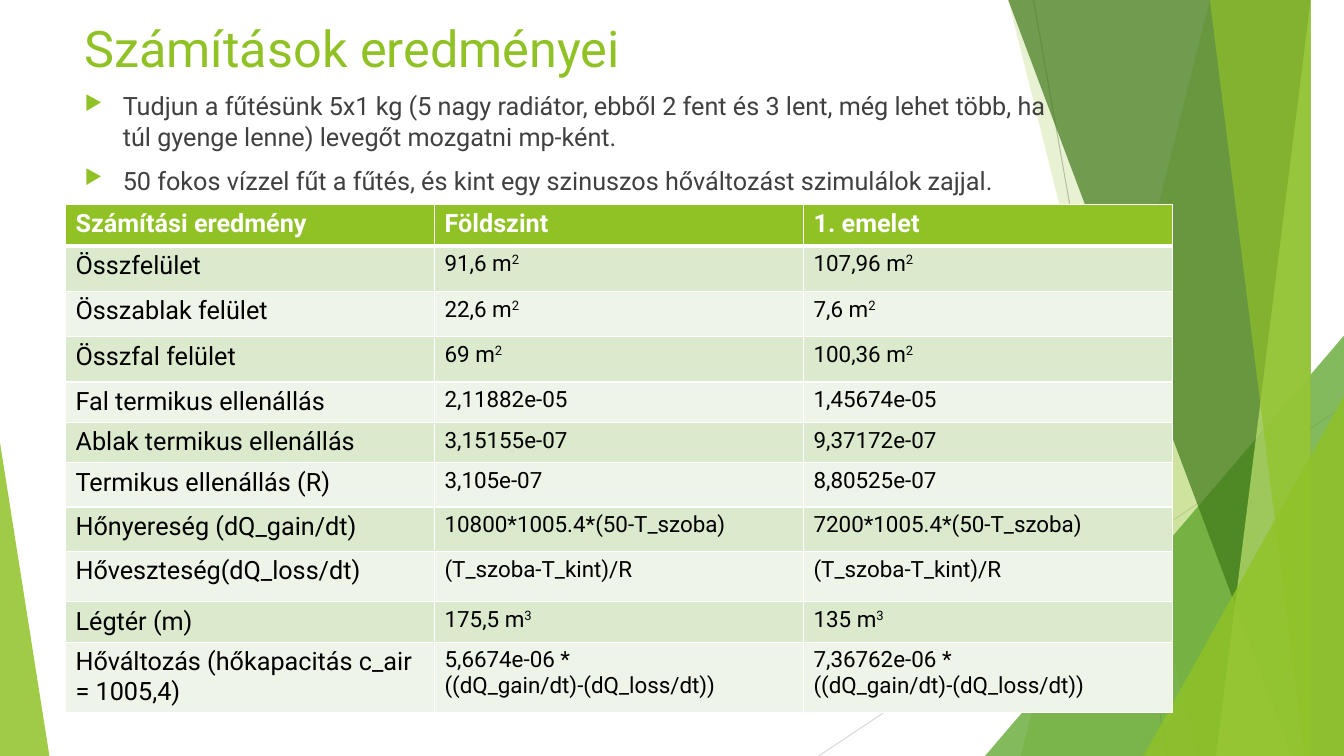
import lxml.etree
import pptx
import pptx.dml.color
import pptx.enum.shapes
import pptx.enum.text
import pptx.oxml
import pptx.oxml.ns
import pptx.util

Inches = pptx.util.Inches
Pt = pptx.util.Pt
qn = pptx.oxml.ns.qn
GREEN = "90C226"


def color(value):
    return pptx.dml.color.RGBColor.from_string(value)


def add_element(parent, tag, **attributes):
    element = lxml.etree.SubElement(parent, qn(tag))
    for name, value in attributes.items():
        element.set(name, str(value))
    return element


presentation = pptx.Presentation()
presentation.slide_width = Inches(13.33)
presentation.slide_height = Inches(7.5)
slide = presentation.slides.add_slide(presentation.slide_layouts[6])
shapes = slide.shapes

# Thin background lines
for x1, y1, x2, y2, line_color in [
    (10.25, 0, 11.58, 7.5, "BFBFBF"),
    (13.33, 4.03, 8.12, 7.5, "D9D9D9"),
]:
    line = shapes.add_connector(
        pptx.enum.shapes.MSO_CONNECTOR.STRAIGHT,
        Inches(x1), Inches(y1), Inches(x2), Inches(y2))
    line.line.color.rgb = color(line_color)
    line.line.width = Pt(0.75)
    add_element(line._element.spPr, "a:effectLst")

# Translucent facets: bands reach the right edge, given by their left corners;
# triangles are given by left, top, width, height and apex position
facets = [
    ("band", (12.28, 10.04), GREEN, 30),
    ("band", (10.5, 11.83), GREEN, 20),
    ("triangle", (9.77, 3.33, 3.56, 4.17, 1), "54A021", 72),
    ("band", (10.21, 12.91), "3F7819", 70),
    ("band", (13.03, 11.92), "C0E474", 70),
    ("band", (11.96, 13.18), GREEN, 65),
    ("triangle", (11.34, 3.93, 1.99, 3.57, 1), GREEN, 80),
    ("triangle", (0, 4.39, 0.49, 3.11, 0), GREEN, 85),
]
for kind, geometry, fill_color, opacity in facets:
    if kind == "band":
        top_left, bottom_left = geometry
        builder = shapes.build_freeform(top_left, -0.01, scale=Inches(1))
        builder.add_line_segments(
            [(13.33, -0.01), (13.33, 7.5), (bottom_left, 7.5)], close=True)
        facet = builder.convert_to_shape()
    else:
        *box, apex = geometry
        facet = shapes.add_shape(
            pptx.enum.shapes.MSO_SHAPE.ISOSCELES_TRIANGLE,
            *[Inches(length) for length in box])
        facet.adjustments[0] = apex
    facet.shadow.inherit = False
    facet.line.fill.background()
    facet.fill.solid()
    facet.fill.fore_color.rgb = color(fill_color)
    fill_element = facet._element.spPr.find(qn("a:solidFill"))
    add_element(fill_element[0], "a:alpha", val=opacity * 1000)

# Title and bullet points
bullets = [
    "Tudjun a fűtésünk 5x1 kg (5 nagy radiátor, ebből 2 fent és 3 lent, "
    "még lehet több, ha túl gyenge lenne) levegőt mozgatni mp-ként.",
    "50 fokos vízzel fűt a fűtés, és kint egy szinuszos hőváltozást "
    "szimulálok zajjal.",
]
anchors = pptx.enum.text.MSO_ANCHOR
text_blocks = [
    ((0.74, 0.08, 9.4, 0.78), ["Számítások eredményei"], 36, GREEN, anchors.MIDDLE, False),
    ((0.74, 0.85, 9.74, 1.17), bullets, 18, "404040", anchors.TOP, True),
]
for box, lines, size, text_color, anchor, bulleted in text_blocks:
    text_box = shapes.add_textbox(*[Inches(length) for length in box])
    frame = text_box.text_frame
    frame.word_wrap = True
    frame.vertical_anchor = anchor
    frame.text = "\n".join(lines)
    for paragraph in frame.paragraphs:
        font = paragraph.runs[0].font
        font.name, font.size = "Roboto", Pt(size)
        font.color.rgb = color(text_color)
        if bulleted:
            paragraph.space_before = Pt(10)
            properties = paragraph._p.get_or_add_pPr()
            properties.set("marL", str(Inches(0.38)))
            properties.set("indent", str(Inches(-0.38)))
            bullet_color = add_element(properties, "a:buClr")
            add_element(bullet_color, "a:srgbClr", val=GREEN)
            add_element(properties, "a:buSzPct", val=80000)
            add_element(properties, "a:buChar", char="▶")

# Results table: row height and cells, with ^ before an exponent
results = [
    (0.41, "Számítási eredmény", "Földszint", "1. emelet"),
    (0.45, "Összfelület", "91,6 m^2", "107,96 m^2"),
    (0.45, "Összablak felület", "22,6 m^2", "7,6 m^2"),
    (0.45, "Összfal felület", "69 m^2", "100,36 m^2"),
    (0.39, "Fal termikus ellenállás", "2,11882e-05", "1,45674e-05"),
    (0.39, "Ablak termikus ellenállás", "3,15155e-07", "9,37172e-07"),
    (0.44, "Termikus ellenállás (R)", "3,105e-07", "8,80525e-07"),
    (0.44, "Hőnyereség (dQ_gain/dt)", "10800*1005.4*(50-T_szoba)", "7200*1005.4*(50-T_szoba)"),
    (0.5, "Hőveszteség(dQ_loss/dt)", "(T_szoba-T_kint)/R", "(T_szoba-T_kint)/R"),
    (0.39, "Légtér (m)", "175,5 m^3", "135 m^3"),
    (0.69, "Hőváltozás (hőkapacitás c_air = 1005,4)",
     "5,6674e-06 *\v((dQ_gain/dt)-(dQ_loss/dt))",
     "7,36762e-06 *\v((dQ_gain/dt)-(dQ_loss/dt))"),
]
table = shapes.add_table(
    len(results), 3, Inches(0.65), Inches(2.03), Inches(10.98), Inches(5)).table
for column in table.columns:
    column.width = Inches(3.66)
for row_index, (height, *texts) in enumerate(results):
    table.rows[row_index].height = Inches(height)
    header = row_index == 0
    row_fill = GREEN if header else ("EEF4E8", "DBE9CD")[row_index % 2]
    for column_index, text in enumerate(texts):
        cell = table.cell(row_index, column_index)
        cell_properties = cell._tc.get_or_add_tcPr()
        for side in "LRTB":
            below_header = (row_index, side) in [(0, "B"), (1, "T")]
            border = add_element(
                cell_properties, "a:ln" + side, w=Pt(3 if below_header else 1))
            border_fill = add_element(border, "a:solidFill")
            add_element(border_fill, "a:srgbClr", val="FFFFFF")
        cell.fill.solid()
        cell.fill.fore_color.rgb = color(row_fill)

        base, _, exponent = text.partition("^")
        paragraph = cell.text_frame.paragraphs[0]
        paragraph.text = base
        if exponent:
            superscript = paragraph.add_run()
            superscript.text = exponent
            superscript.font._element.set("baseline", "30000")
        formats = {
            "name": "Roboto",
            "size": Pt(18 if header or column_index == 0 else 16),
            "bold": header,
        }
        for run in paragraph.runs:
            for name, value in formats.items():
                setattr(run.font, name, value)
            run.font.color.rgb = color("FFFFFF" if header else "000000")

presentation.save("out.pptx")
